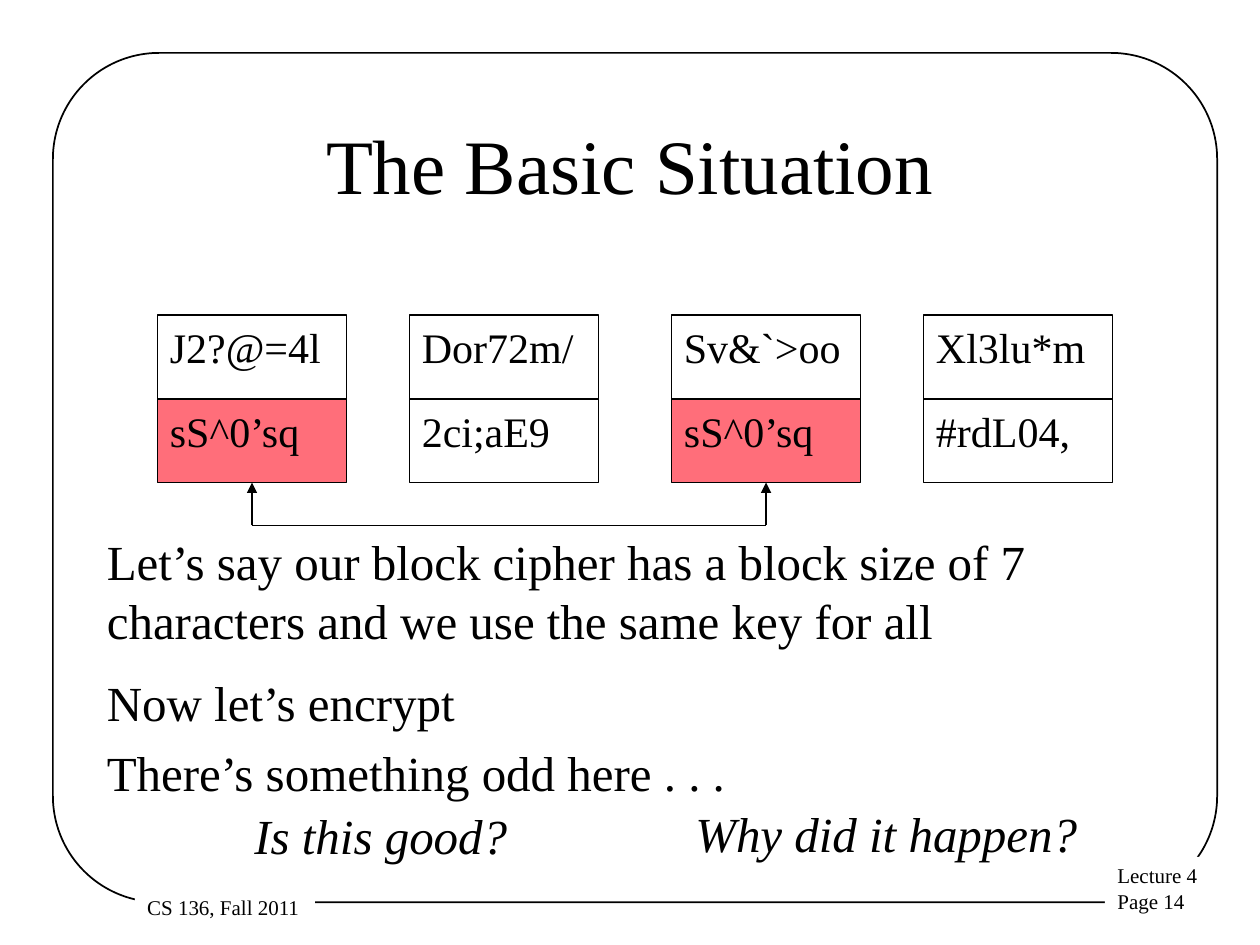
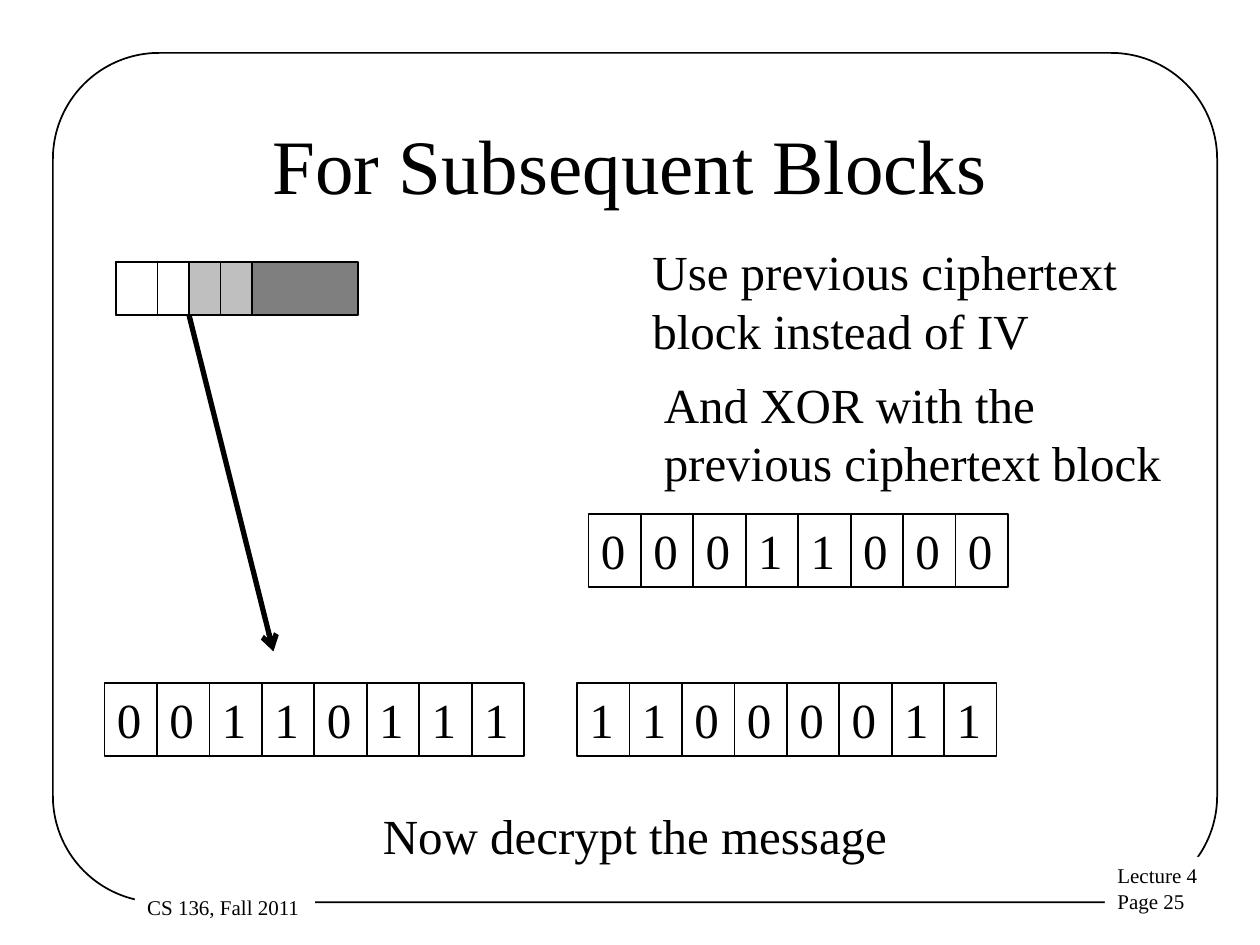
from dataclasses import dataclass

from lxml.etree import SubElement
from pptx import Presentation
from pptx.dml.color import RGBColor
from pptx.enum.shapes import MSO_CONNECTOR, MSO_SHAPE
from pptx.enum.text import MSO_ANCHOR, PP_ALIGN
from pptx.oxml.ns import qn
from pptx.util import Inches, Pt


@dataclass(frozen=True)
class Theme:
    font: str = "Times New Roman"
    ink: str = "000000"
    paper: str = "FFFFFF"
    repeated: str = "FF6E7A"
    light_gray: str = "BFBFBF"
    dark_gray: str = "7F7F7F"
    title_size: int = 44
    body_size: int = 28
    cipher_size: int = 24
    footer_size: int = 12
    thin: float = 1
    thick: float = 3


THEME = Theme()


# Basic parts; every box is (left, top, width, height) in inches
def write(shape, text, size, align=PP_ALIGN.LEFT, anchor=MSO_ANCHOR.TOP, italic=False):
    frame = shape.text_frame
    frame.word_wrap = True
    frame.vertical_anchor = anchor
    for index, line in enumerate(text.split("\n")):
        paragraph = frame.paragraphs[0] if index == 0 else frame.add_paragraph()
        paragraph.text = line
        paragraph.alignment = align
        paragraph.font.name = THEME.font
        paragraph.font.size = Pt(size)
        paragraph.font.italic = italic
        paragraph.font.color.rgb = RGBColor.from_string(THEME.ink)


def add_text(slide, box, text, size=THEME.body_size, **style):
    text_box = slide.shapes.add_textbox(*map(Inches, box))
    write(text_box, text, size, **style)
    return text_box


def add_block(slide, box, fill=None, kind=MSO_SHAPE.RECTANGLE, outlined=True):
    shape = slide.shapes.add_shape(kind, *map(Inches, box))
    shape.shadow.inherit = False
    if fill:
        shape.fill.solid()
        shape.fill.fore_color.rgb = RGBColor.from_string(fill)
    else:
        shape.fill.background()
    if outlined:
        shape.line.color.rgb = RGBColor.from_string(THEME.ink)
        shape.line.width = Pt(THEME.thin)
    else:
        shape.line.fill.background()
    return shape


def add_line(slide, start, end, width=THEME.thin, head=None):
    line = slide.shapes.add_connector(
        MSO_CONNECTOR.STRAIGHT, *map(Inches, (*start, *end)))
    line.line.color.rgb = RGBColor.from_string(THEME.ink)
    line.line.width = Pt(width)
    if head:
        SubElement(line.line._get_or_add_ln(), qn("a:tailEnd"), type=head)
    SubElement(line._element.spPr, qn("a:effectLst"))


# Frame, footers and title shared by the slides
def add_base_slide(presentation, title, page):
    slide = presentation.slides.add_slide(presentation.slide_layouts[6])
    border = add_block(slide, (0.42, 0.42, 9.24, 6.74), kind=MSO_SHAPE.ROUNDED_RECTANGLE)
    border.adjustments[0] = 0.125
    footers = (
        ((8.77, 6.8, 1.27, 0.5), f"Lecture 4\nPage {page}"),
        ((1.07, 7.05, 1.43, 0.3), "CS 136, Fall 2011"),
    )
    for box, text in footers:
        footer = add_block(slide, box, THEME.paper, outlined=False)
        write(footer, text, THEME.footer_size)
    add_text(slide, (0.75, 0.67, 8.5, 1.25), title, THEME.title_size,
             align=PP_ALIGN.CENTER, anchor=MSO_ANCHOR.MIDDLE)
    return slide


# Two stacked ciphertext blocks
def add_cipher_pair(slide, box, texts, fills):
    left, top, width, height = box
    row_height = height / len(texts)
    for row, (text, fill) in enumerate(zip(texts, fills)):
        block = add_block(slide, (left, top + row * row_height, width, row_height), fill)
        write(block, text, THEME.cipher_size)


# Bracket under two equal blocks, pointing up at both
def add_match_bracket(slide, box):
    left, top, width, height = box
    right, bottom = left + width, top + height
    add_line(slide, (left, bottom), (right, bottom))
    for x in (left, right):
        add_line(slide, (x, bottom), (x, top), head="triangle")


# Row of one-bit cells
def add_bit_row(slide, box, bits):
    left, top, width, height = box
    cell_width = width / len(bits)
    for column, bit in enumerate(bits):
        cell = add_block(slide, (left + column * cell_width, top, cell_width, height),
                         THEME.paper)
        write(cell, bit, THEME.body_size)


# Message bar split into fields
def add_message_bar(slide, box, fields):
    left, top, _, height = box
    add_block(slide, box, THEME.dark_gray)
    for width, fill in fields:
        add_block(slide, (left, top, width, height), fill)
        left += width


def build_basic_situation(presentation):
    slide = add_base_slide(presentation, "The Basic Situation", 14)

    # Encrypted records
    plain, marked = (THEME.paper, THEME.paper), (THEME.paper, THEME.repeated)
    records = (
        (1.25, ("J2?@=4l", "sS^0’sq"), marked),
        (3.25, ("Dor72m/", "2ci;aE9"), plain),
        (5.33, ("Sv&`>oo", "sS^0’sq"), marked),
        (7.33, ("Xl3lu*m", "#rdL04,"), plain),
    )
    for left, texts, fills in records:
        add_cipher_pair(slide, (left, 2.5, 1.5, 1.33), texts, fills)
    add_match_bracket(slide, (2, 3.83, 4.08, 0.34))

    # Explanation
    add_text(slide, (0.75, 4.17, 7.92, 1.04),
             "Let’s say our block cipher has a block size of 7 characters "
             "and we use the same key for all")
    add_text(slide, (0.75, 5.29, 5.5, 0.57), "Now let’s encrypt")
    add_text(slide, (0.75, 5.84, 5.5, 0.57), "There’s something odd here . . .")

    # Questions
    add_text(slide, (1.92, 6.34, 2.75, 0.57), "Is this good?", italic=True)
    add_text(slide, (5.42, 6.33, 3.33, 0.57), "Why did it happen?", italic=True)


def build_subsequent_blocks(presentation):
    slide = add_base_slide(presentation, "For Subsequent Blocks", 25)

    # Message and the block taken from it
    add_message_bar(slide, (0.92, 2.08, 1.92, 0.42), (
        (0.33, THEME.paper), (0.25, THEME.paper),
        (0.25, THEME.light_gray), (0.25, THEME.light_gray)))
    add_line(slide, (1.5, 2.5), (2.17, 5.17), THEME.thick, head="arrow")

    # Bit patterns
    for left, top, bits in ((0.83, 5.42, "00110111"),
                            (4.67, 4.08, "00011000"),
                            (4.58, 5.42, "11000011")):
        add_bit_row(slide, (left, top, 3.33, 0.58), bits)

    # Explanation
    add_text(slide, (5.08, 1.87, 4.5, 1.04), "Use previous ciphertext block instead of IV")
    add_text(slide, (5.17, 2.92, 4.17, 1.04), "And XOR with the previous ciphertext block")
    add_text(slide, (2.94, 6.34, 4.25, 0.57), "Now decrypt the message")


def main():
    presentation = Presentation()
    presentation.slide_width = Inches(10)
    presentation.slide_height = Inches(7.5)
    build_basic_situation(presentation)
    build_subsequent_blocks(presentation)
    presentation.save("out.pptx")


if __name__ == "__main__":
    main()
